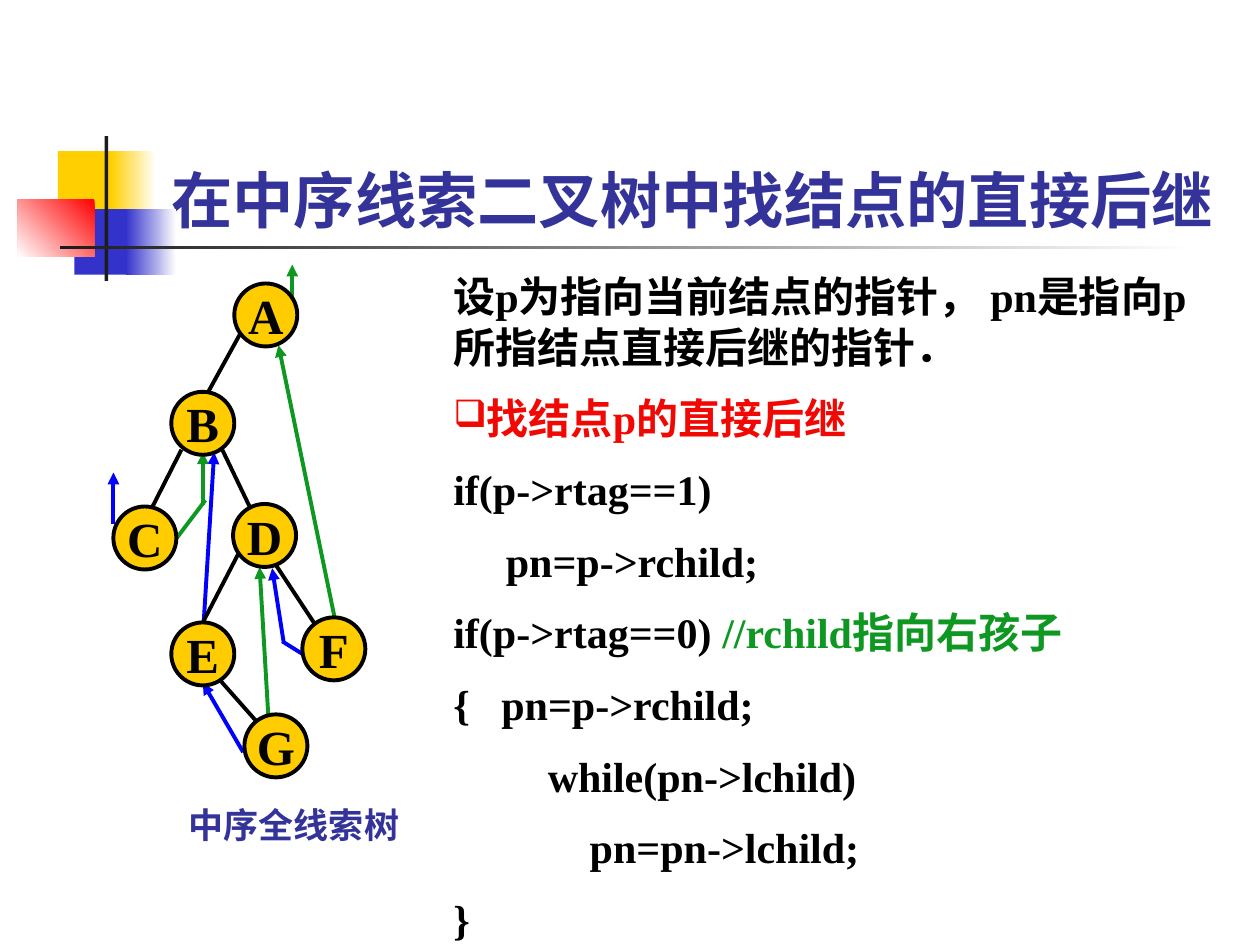
from lxml import etree
from pptx import Presentation
from pptx import util as u
from pptx.dml.color import RGBColor
from pptx.enum import shapes, text
from pptx.oxml.ns import qn

COLORS = {
    "white": "FFFFFF", "black": "000000", "ink": "020202", "charcoal": "1C1C1C",
    "yellow": "FFCF01", "indigo": "3333CC", "red": "FF0000", "title": "333399",
    "node": "FFCC00", "heading": "F20802", "green": "0E9822", "blue": "0000FF",
}
SERIF = "Times New Roman"
NODE_SIZE = 0.5

TITLE = "在中序线索二叉树中找结点的直接后继"
CAPTION = "中序全线索树"

# Master ornament: box, colours (one = solid, two = gradient), gradient angle
ORNAMENT = [
    ((0.46, 1.2, 0.48, 0.52), ["yellow"], 0),
    ((0.88, 1.2, 0.36, 0.52), ["white", "yellow"], 180),
    ((0.59, 1.66, 0.46, 0.52), ["indigo"], 0),
    ((1, 1.66, 0.4, 0.52), ["white", "indigo"], 180),
    ((0.14, 1.58, 0.61, 0.46), ["red", "white"], 225),
    ((0.83, 1.08, 0.03, 1.15), ["charcoal"], 0),
    ((0.48, 1.95, 9, 0.03), ["white", "charcoal"], 180),
]

# Explanation and algorithm: each line is a list of (text, colour) runs
ALGORITHM = [
    [("设p为指向当前结点的指针， pn是指向p所指结点直接后继的指针．", "black")],
    [("找结点p的直接后继", "heading")],
    [("if(p->rtag==1)", "black")],
    [("     pn=p->rchild;", "black")],
    [("if(p->rtag==0) ", "black"), ("//rchild指向右孩子", "green")],
    [("{   pn=p->rchild;", "black")],
    [("         while(pn->lchild)", "black")],
    [("             pn=pn->lchild;", "black")],
    [("}", "black")],
]
BULLETED_LINE = 1

# Threads: start, end, colour, arrowhead
THREADS = [
    ((1.38, 4.3), (1.63, 3.97), "green", False),
    ((1.61, 4.01), (1.61, 3.59), "green", True),
    ((0.9, 4.16), (0.9, 3.75), "blue", True),
    ((2.68, 5.02), (2.21, 2.74), "green", True),
    ((2.32, 2.51), (2.32, 2.1), "green", True),
    ((1.93, 5.97), (1.61, 5.42), "blue", True),
    ((2.13, 5.69), (2.06, 4.5), "green", True),
    ((1.61, 5.05), (1.7, 3.59), "blue", True),
    ((2.48, 5.24), (2.24, 5.09), "blue", False),
    ((2.25, 5.09), (2.16, 4.51), "blue", True),
]
BRANCHES = [
    ((1.95, 2.57), (1.62, 3.17)),
    ((1.44, 3.57), (1.16, 4.12)),
    ((1.75, 3.54), (2, 4.06)),
    ((2.18, 4.47), (2.51, 4.97)),
    ((1.91, 4.36), (1.61, 4.94)),
    ((1.73, 5.38), (2.04, 5.73)),
]
NODES = {
    "B": (1.36, 3.11), "D": (1.85, 4), "F": (2.4, 4.9), "E": (1.36, 4.94),
    "G": (1.94, 5.67), "C": (0.9, 4.02), "A": (1.86, 2.25),
}


def rgb(color):
    return RGBColor.from_string(COLORS[color])


def inches(values):
    return [u.Inches(value) for value in values]


def add_run(paragraph, words, size, color, font=SERIF):
    run = paragraph.add_run()
    run.text = words
    run.font.size = u.Pt(size)
    run.font.name = font
    run.font.bold = True
    run.font.color.rgb = rgb(color)


def add_filled(slide, kind, box, colors, angle=0):
    shape = slide.shapes.add_shape(kind, *inches(box))
    shape.shadow.inherit = False
    if len(colors) == 1:
        shape.fill.solid()
        shape.fill.fore_color.rgb = rgb(colors[0])
    else:
        shape.fill.gradient()
        shape.fill.gradient_angle = angle
        for stop, color, position in zip(shape.fill.gradient_stops, colors, (0, 1)):
            stop.color.rgb = rgb(color)
            stop.position = position
    shape.line.fill.background()
    return shape


def add_line(slide, start, end, color, arrow=False):
    line = slide.shapes.add_connector(shapes.MSO_CONNECTOR.STRAIGHT, *inches(start + end))
    line.line.color.rgb = rgb(color)
    line.line.width = u.Pt(2.25)
    if arrow:
        etree.SubElement(line.line._get_or_add_ln(), qn("a:tailEnd"), type="triangle")
    etree.SubElement(line._element.spPr, qn("a:effectLst"))


def add_text_box(slide, box):
    frame = slide.shapes.add_textbox(*inches(box)).text_frame
    frame.word_wrap = True
    return frame


def add_bullet(paragraph, char, color, percent):
    props = paragraph._p.get_or_add_pPr()
    bullet_color = etree.SubElement(props, qn("a:buClr"))
    etree.SubElement(bullet_color, qn("a:srgbClr"), val=COLORS[color])
    etree.SubElement(props, qn("a:buSzPct"), val=str(percent * 1000))
    etree.SubElement(props, qn("a:buChar"), char=char)


def main():
    prs = Presentation()
    prs.slide_width, prs.slide_height = inches((10, 7.5))
    slide = prs.slides.add_slide(prs.slide_layouts[5])

    # Ornament beside the title
    for box, colors, angle in ORNAMENT:
        add_filled(slide, shapes.MSO_SHAPE.RECTANGLE, box, colors, angle)

    # Title
    title = slide.shapes.title
    title.left, title.top, title.width, title.height = inches((1.26, 0.67, 8.52, 1.25))
    title.text_frame.auto_size = text.MSO_AUTO_SIZE.NONE
    title.text_frame.vertical_anchor = text.MSO_ANCHOR.BOTTOM
    heading = title.text_frame.paragraphs[0]
    heading.alignment = text.PP_ALIGN.LEFT
    add_run(heading, TITLE, 35, "title", "Karla")

    # Explanation and algorithm
    frame = add_text_box(slide, (3.5, 2.1, 6.3, 5.45))
    for index, runs in enumerate(ALGORITHM):
        paragraph = frame.add_paragraph() if index else frame.paragraphs[0]
        if index == BULLETED_LINE:
            add_bullet(paragraph, "❑", "heading", 90)
        if index:
            paragraph.line_spacing = 0.9
            paragraph.space_before = u.Pt(15)
        for words, color in runs:
            add_run(paragraph, words, 24, color)

    # Threads and caption
    for thread in THREADS:
        add_line(slide, *thread)
    caption = add_text_box(slide, (1.4, 6.33, 2, 0.44))
    add_run(caption.paragraphs[0], CAPTION, 20, "title")

    # Tree branches and nodes
    for start, end in BRANCHES:
        add_line(slide, start, end, "black")
    for label, corner in NODES.items():
        node = add_filled(slide, shapes.MSO_SHAPE.OVAL,
                          corner + (NODE_SIZE, NODE_SIZE), ["node"])
        node.line.color.rgb = rgb("black")
        node.line.width = u.Pt(2.25)
        node.text_frame.word_wrap = False
        node.text_frame.vertical_anchor = text.MSO_ANCHOR.MIDDLE
        name = node.text_frame.paragraphs[0]
        name.alignment = text.PP_ALIGN.CENTER
        add_run(name, label, 28, "ink")

    prs.save("out.pptx")


if __name__ == "__main__":
    main()
